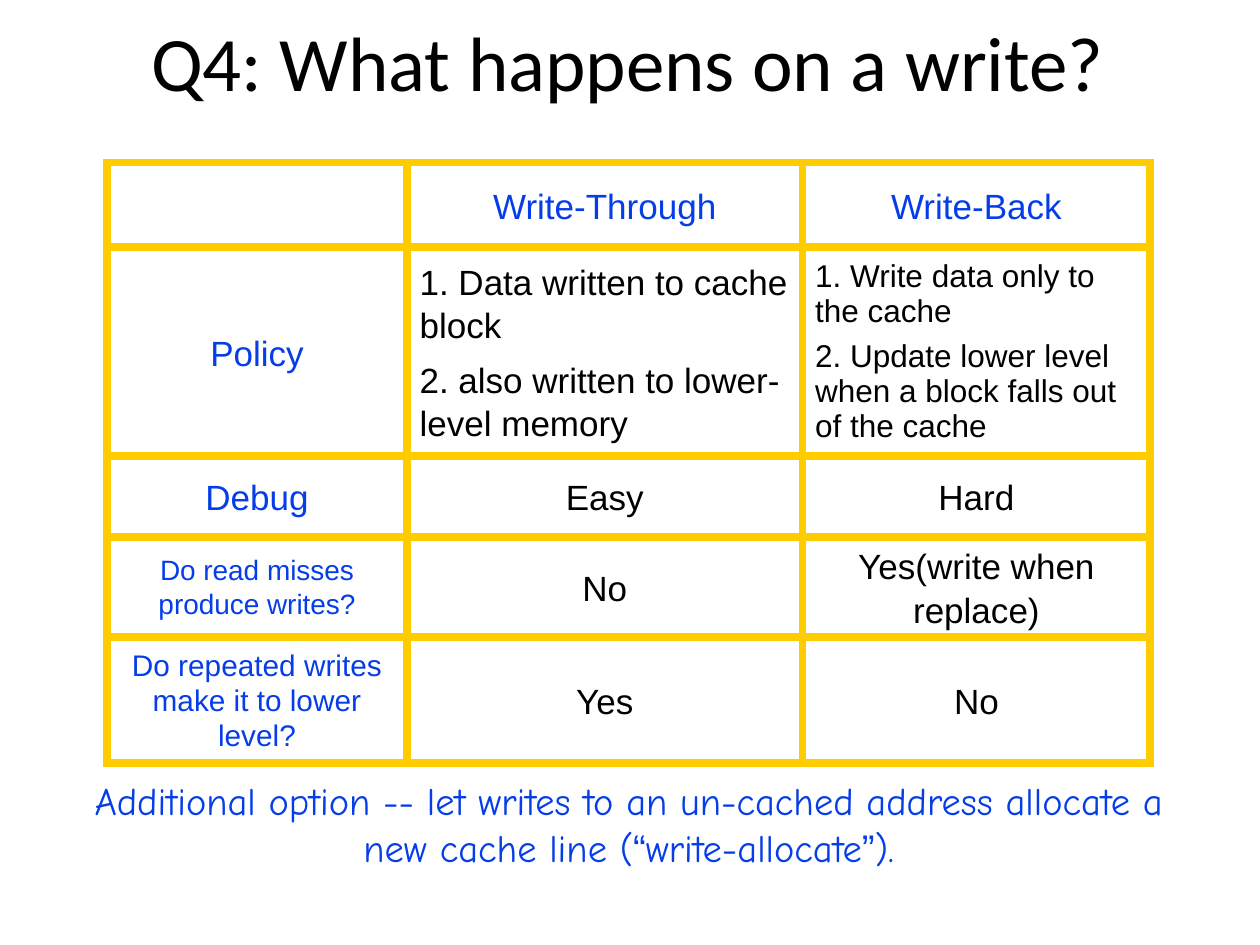
from dataclasses import dataclass
from lxml.etree import SubElement
from pptx import Presentation
from pptx.dml.color import RGBColor as Rgb
from pptx.enum.text import MSO_ANCHOR as Anchor, MSO_AUTO_SIZE as Fit, PP_ALIGN as Align
from pptx.oxml.ns import qn
from pptx.util import Inches, Pt


@dataclass(frozen=True)
class Theme:
    ink: str = "000000"
    blue: str = "053DE8"
    gold: str = "FFCC00"
    head: str = "Calibri"
    body: str = "Arial"
    hand: str = "Comic Neue"
    title: int = 44
    note: int = 22
    cell: int = 20
    lead: int = 25
    rule: int = 5


@dataclass(frozen=True)
class Entry:
    lines: tuple[str, ...]
    size: int = 20
    lead: int = 25
    align: Align = Align.CENTER


THEME = Theme()
COLS = (2.38, 3.14, 2.76)
ROWS = (0.67, 1.66, 0.64, 0.74, 1)
GRID = (
    (Entry(()), Entry(("Write-Through",)), Entry(("Write-Back",))),
    (
        Entry(("Policy",)),
        Entry(("1. Data written to cache block",
               "2. also written to lower-level memory"), align=Align.LEFT),
        Entry(("1. Write data only to the cache",
               "2. Update lower level when a block falls out of the cache"),
              18, 20, Align.LEFT),
    ),
    (Entry(("Debug",)), Entry(("Easy",)), Entry(("Hard",))),
    (
        Entry(("Do read misses produce writes?",), 16, 19),
        Entry(("No",)),
        Entry(("Yes(write when replace)",)),
    ),
    (
        Entry(("Do repeated writes make it to lower level?",), 17, 20),
        Entry(("Yes",)),
        Entry(("No",)),
    ),
)
NOTE = (
    ("Additional option -- let writes to an un-cached address allocate a new cache line (",
     THEME.hand),
    ("“", THEME.body),
    ("write-allocate", THEME.hand),
    ("”", THEME.body),
    (").", THEME.hand),
)


def add_run(para, text: str, font: str, size: int, color: str) -> None:
    run = para.add_run()
    run.text = text
    run.font.name = font
    run.font.size = Pt(size)
    run.font.color.rgb = Rgb.from_string(color)


def add_edges(cell) -> None:
    props = cell._tc.get_or_add_tcPr()
    for i, side in enumerate(("lnL", "lnR", "lnT", "lnB")):
        line = props.makeelement(qn(f"a:{side}"), {"w": str(Pt(THEME.rule))})
        fill = SubElement(line, qn("a:solidFill"))
        SubElement(fill, qn("a:srgbClr"), val=THEME.gold)
        props.insert(i, line)


def fill_cell(cell, entry: Entry, color: str) -> None:
    cell.fill.background()
    cell.vertical_anchor = Anchor.MIDDLE
    add_edges(cell)
    frame = cell.text_frame
    for i, text in enumerate(entry.lines):
        para = frame.add_paragraph() if i else frame.paragraphs[0]
        para.alignment = entry.align
        para.line_spacing = Pt(entry.lead)
        para.space_before = Pt(0.3 * entry.size)
        add_run(para, text, THEME.body, entry.size, color)


def add_title(slide) -> None:
    title = slide.shapes.title
    title.left, title.top = Inches(0.08), Inches(0.07)
    title.width, title.height = Inches(9.81), Inches(0.83)
    title.text_frame.vertical_anchor = Anchor.MIDDLE
    para = title.text_frame.paragraphs[0]
    para.alignment = Align.CENTER
    add_run(para, "Q4: What happens on a write?", THEME.head, THEME.title, THEME.ink)


def add_grid(slide) -> None:
    table = slide.shapes.add_table(
        len(ROWS), len(COLS), Inches(0.85), Inches(1.29),
        Inches(sum(COLS)), Inches(sum(ROWS))).table
    table.first_row = table.horz_banding = False
    for col, width in zip(table.columns, COLS):
        col.width = Inches(width)
    for row, height in zip(table.rows, ROWS):
        row.height = Inches(height)
    for r, line in enumerate(GRID):
        for c, entry in enumerate(line):
            color = THEME.ink if r and c else THEME.blue
            fill_cell(table.cell(r, c), entry, color)


def add_note(slide) -> None:
    box = slide.shapes.add_textbox(Inches(0.64), Inches(6.17), Inches(8.7), Inches(0.73))
    frame = box.text_frame
    frame.word_wrap = True
    frame.auto_size = Fit.SHAPE_TO_FIT_TEXT
    frame.margin_left = frame.margin_right = frame.margin_top = frame.margin_bottom = 0
    para = frame.paragraphs[0]
    para.alignment = Align.CENTER
    for text, font in NOTE:
        add_run(para, text, font, THEME.note, THEME.blue)


def main() -> None:
    deck = Presentation()
    deck.slide_width, deck.slide_height = Inches(10), Inches(7.5)
    slide = deck.slides.add_slide(deck.slide_layouts[5])
    add_title(slide)
    add_grid(slide)
    add_note(slide)
    deck.save("out.pptx")


if __name__ == "__main__":
    main()
